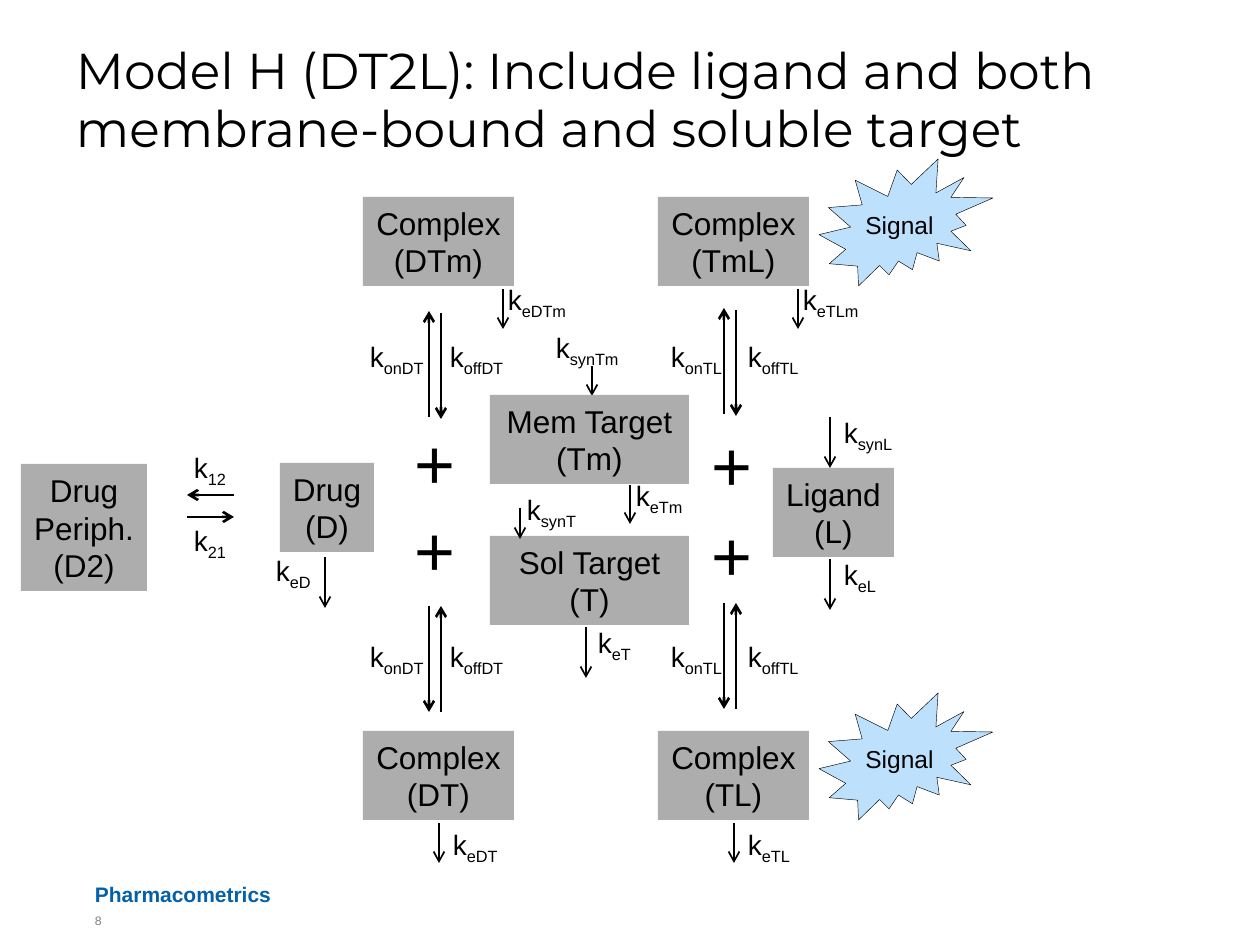
import pptx
import pptx.util
import pptx.dml.color
import pptx.enum.shapes
import pptx.enum.text
import pptx.oxml.ns
import lxml.etree

PX = 914400 // 126
SHAPE = pptx.enum.shapes.MSO_SHAPE
ALIGN = pptx.enum.text.PP_ALIGN
ANCHOR = pptx.enum.text.MSO_ANCHOR
BLACK, GREY, BLUE = "000000", "ADADAD", "BDE1FD"


def emu(*pixels):
    """Turn pixel lengths into EMU."""
    return [round(v * PX) for v in pixels]


def rgb(value):
    """Turn a hex string into a colour."""
    return pptx.dml.color.RGBColor.from_string(value)


def add_run(p, text, size, color=BLACK, font="Arial", bold=False, base=0):
    """Append one formatted run to a paragraph."""
    r = p.add_run()
    r.text = text
    r.font.size = pptx.util.Pt(size)
    r.font.name = font
    r.font.bold = bold
    r.font.color.rgb = rgb(color)
    if base:
        r.font._element.set("baseline", str(base))


def set_frame(tf, anchor=ANCHOR.TOP, wrap=True, inset=0):
    """Set anchor, wrapping and equal insets of a text frame."""
    tf.word_wrap = wrap
    tf.vertical_anchor = anchor
    tf.margin_left = tf.margin_right = tf.margin_top = tf.margin_bottom = emu(inset)[0]


def add_text(s, x, y, w, h, anchor=ANCHOR.TOP):
    """Add an empty text box and return its first paragraph."""
    tf = s.shapes.add_textbox(*emu(x, y, w, h)).text_frame
    set_frame(tf, anchor)
    return tf.paragraphs[0]


def add_rate(s, x, y, sub):
    """Add a rate constant: k with a subscript."""
    p = add_text(s, x, y, 91, 34)
    add_run(p, "k", 16)
    add_run(p, sub, 16, base=-25000)


def add_shape(s, kind, x, y, w, h, fill, lines, size, border=None):
    """Add a filled shape with centred lines of text."""
    sp = s.shapes.add_shape(kind, *emu(x, y, w, h))
    sp.shadow.inherit = False
    sp.fill.solid()
    sp.fill.fore_color.rgb = rgb(fill)
    if border:
        sp.line.color.rgb = rgb(BLACK)
        sp.line.width = pptx.util.Pt(border)
    else:
        sp.line.fill.background()
    tf = sp.text_frame
    set_frame(tf, ANCHOR.MIDDLE)
    for i, line in enumerate(lines):
        p = tf.add_paragraph() if i else tf.paragraphs[0]
        p.alignment = ALIGN.CENTER
        add_run(p, line, size)


def add_state(s, x, y, w, h, *lines):
    """Add the grey box of one model state."""
    add_shape(s, SHAPE.RECTANGLE, x, y, w, h, GREY, lines, 18)


def add_signal(s, x, y):
    """Add a signal burst."""
    add_shape(s, SHAPE.EXPLOSION2, x, y, 174, 127, BLUE, ["Signal"], 14, 0.25)


def add_plus(s, x, y):
    """Add a large plus sign."""
    p = add_text(s, x, y, 67, 97)
    p.alignment = ALIGN.CENTER
    set_frame(p._parent, ANCHOR.MIDDLE, wrap=False)
    add_run(p, "+", 40)


def add_arrow(s, x1, y1, x2, y2, width=1):
    """Add a straight line with an open arrowhead at its end."""
    line = s.shapes.add_connector(
        pptx.enum.shapes.MSO_CONNECTOR.STRAIGHT, *emu(x1, y1, x2, y2))
    line.line.color.rgb = rgb(BLACK)
    line.line.width = pptx.util.Pt(width)
    qn = pptx.oxml.ns.qn
    lxml.etree.SubElement(line.line._get_or_add_ln(), qn("a:tailEnd"), type="arrow")
    lxml.etree.SubElement(line._element.spPr, qn("a:effectLst"))


def draw_title(s, x, y, w, h):
    """Place and fill the title."""
    sp = s.shapes.title
    sp.left, sp.top, sp.width, sp.height = emu(x, y, w, h)
    tf = sp.text_frame
    set_frame(tf)
    tf.auto_size = pptx.enum.text.MSO_AUTO_SIZE.NONE
    p = tf.paragraphs[0]
    p.alignment = ALIGN.LEFT
    p.line_spacing = 0.95
    add_run(p, "Model H (DT2L): Include ligand and both "
               "membrane-bound and soluble target", 28.8, font="Montserrat")


def draw_footer(s, x, y):
    """Place the section name and the slide number."""
    add_run(add_text(s, x, y, 819, 32, ANCHOR.BOTTOM), "Pharmacometrics", 12,
            "0460A9", bold=True)
    add_run(add_text(s, x, y + 38, 32, 32), "8", 7, "7F7F7F")


def draw_binding(s, x, y, pair, membrane, on_x, off_x, lift):
    """Draw the column where one pair binds into two complexes."""
    top, bottom = y + 114 - lift, y + 409 - lift
    for box_y, name in ((y, membrane), (y + 534, pair)):
        add_state(s, x, box_y, 151, 89, "Complex", f"({name})")
    for label_y in (y + 143, y + 443):
        add_rate(s, x + on_x, label_y, "on" + pair)
        add_rate(s, x + off_x, label_y, "off" + pair)
    add_arrow(s, x + 66, top + 106, x + 66, top, 1.5)
    add_arrow(s, x + 78, top + 2, x + 78, top + 108, 1.5)
    add_arrow(s, x + 66, bottom, x + 66, bottom + 106, 1.5)
    add_arrow(s, x + 78, bottom + 106, x + 78, bottom, 1.5)
    add_arrow(s, x + 140, y + 92, x + 140, y + 132)
    add_rate(s, x + 145, y + 86, "e" + membrane.replace("TmL", "TLm"))
    add_arrow(s, x + 76, y + 626, x + 76, y + 666)
    add_rate(s, x + 90, y + 631, "e" + pair)


def draw_drug(s, x, y):
    """Draw the drug, its peripheral compartment and the exchange."""
    add_state(s, x, y + 1, 126, 127, "Drug", "Periph.", "(D2)")
    add_state(s, x + 259, y, 94, 89, "Drug", "(D)")
    add_rate(s, x + 173, y - 12, "12")
    add_rate(s, x + 173, y + 61, "21")
    add_arrow(s, x + 213, y + 32, x + 166, y + 32, 1.5)
    add_arrow(s, x + 166, y + 54, x + 213, y + 54, 1.5)
    add_arrow(s, x + 304, y + 94, x + 304, y + 145)
    add_rate(s, x + 255, y + 91, "eD")


def draw_targets(s, x, y):
    """Draw the membrane and soluble targets with their turnover."""
    add_rate(s, x + 66, y - 64, "synTm")
    add_arrow(s, x + 102, y - 29, x + 102, y + 1)
    add_state(s, x, y, 199, 89, "Mem Target", "(Tm)")
    add_arrow(s, x + 140, y + 90, x + 140, y + 129)
    add_rate(s, x + 146, y + 84, "eTm")
    add_state(s, x, y + 141, 199, 89, "Sol Target", "(T)")
    add_arrow(s, x + 30, y + 113, x + 30, y + 144)
    add_rate(s, x + 37, y + 98, "synT")
    add_arrow(s, x + 96, y + 232, x + 96, y + 283)
    add_rate(s, x + 108, y + 231, "eT")


def draw_ligand(s, x, y):
    """Draw the ligand with its turnover."""
    add_state(s, x, y, 121, 89, "Ligand", "(L)")
    for dy, sub in ((-51, "synL"), (91, "eL")):
        add_arrow(s, x + 57, y + dy, x + 57, y + dy + 51)
        add_rate(s, x + 71, y + dy - 1, sub)


prs = pptx.Presentation()
prs.slide_width, prs.slide_height = emu(1260, 945)
s = prs.slides.add_slide(prs.slide_layouts[5])
draw_title(s, 76, 44, 1148, 69)
draw_footer(s, 95, 875)
draw_drug(s, 21, 463)
draw_binding(s, 363, 197, "DT", "DTm", 7, 87, 0)
draw_targets(s, 490, 395)
draw_binding(s, 658, 197, "TL", "TmL", 13, 90, 3)
draw_ligand(s, 773, 468)
for plus_x, plus_y in ((401, 413), (401, 500), (698, 415), (698, 505)):
    add_plus(s, plus_x, plus_y)
for signal_y in (159, 693):
    add_signal(s, 819, signal_y)
prs.save("out.pptx")
